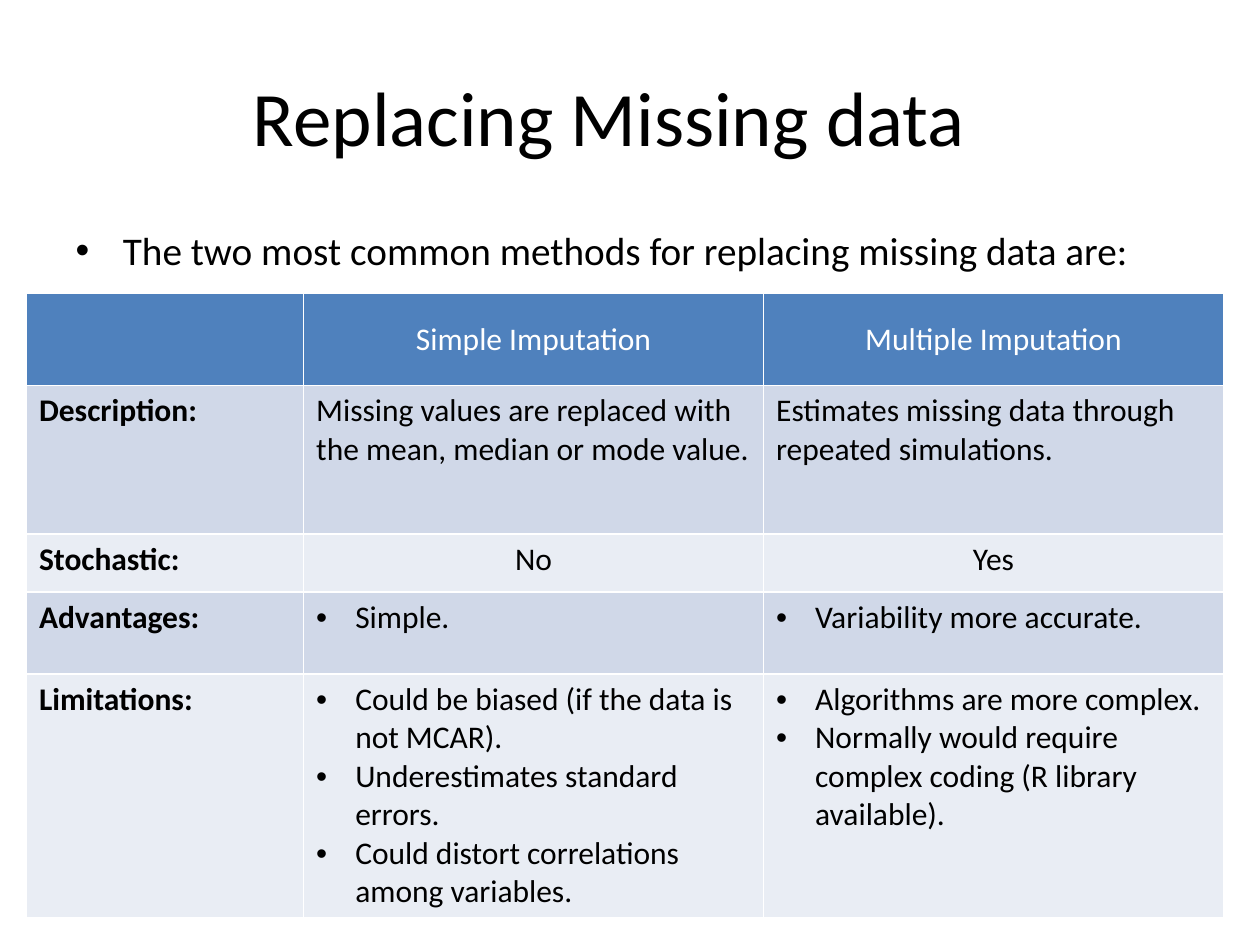
from lxml.etree import SubElement
from pptx import Presentation
from pptx.dml.color import RGBColor
from pptx.enum.text import MSO_ANCHOR, MSO_AUTO_SIZE, PP_ALIGN
from pptx.oxml.ns import qn
from pptx.util import Inches, Pt

TITLE = "Replacing Missing data"
LEAD = "The two most common methods for replacing missing data are:"
HEADER = ["", "Simple Imputation", "Multiple Imputation"]
ROWS = [
    ("Description:", "plain",
     ["Missing values are replaced with the mean, median or mode value."],
     ["Estimates missing data through repeated simulations."]),
    ("Stochastic:", "centred", ["No"], ["Yes"]),
    ("Advantages:", "bullets", ["Simple."], ["Variability more accurate."]),
    ("Limitations:", "bullets",
     ["Could be biased (if the data is not MCAR).",
      "Underestimates standard errors.",
      "Could distort correlations among variables."],
     ["Algorithms are more complex.",
      "Normally would require complex coding (R library available)."]),
]
COLUMN_WIDTHS = [2.2, 3.65, 3.65]
ROW_HEIGHTS = [0.73, 1.18, 0.46, 0.65, 1.92]
COLORS = {"header": "4F81BD", "odd": "D0D8E8", "even": "E9EDF4",
          "text": "000000", "header_text": "FFFFFF"}
FONT = "Calibri"
BULLET_INDENT = Inches(0.31)


def color(name):
    return RGBColor.from_string(COLORS[name])


def style(paragraph, size, color_name="text", bold=False):
    font = paragraph.font
    font.name, font.size, font.bold = FONT, Pt(size), bold
    font.color.rgb = color(color_name)


def add_bullet(paragraph):
    properties = paragraph._p.get_or_add_pPr()
    properties.set("marL", str(BULLET_INDENT))
    properties.set("indent", str(-BULLET_INDENT))
    SubElement(properties, qn("a:buFont")).set("typeface", "Arial")
    SubElement(properties, qn("a:buChar")).set("char", "•")


def fill_placeholder(box, text, size, bounds):
    box.left, box.top, box.width, box.height = map(Inches, bounds)
    frame = box.text_frame
    frame.text = text
    frame.auto_size = MSO_AUTO_SIZE.NONE
    style(frame.paragraphs[0], size)


def fill_cell(cell, lines, fill, layout="plain", text_color="text", bold=False):
    cell.fill.solid()
    cell.fill.fore_color.rgb = color(fill)
    cell.text = "\n".join(lines)
    for paragraph in cell.text_frame.paragraphs:
        if layout == "centred":
            paragraph.alignment = PP_ALIGN.CENTER
        elif layout == "bullets":
            add_bullet(paragraph)
        style(paragraph, 18, text_color, bold)


def add_comparison(page):
    table = page.shapes.add_table(
        len(ROW_HEIGHTS), len(COLUMN_WIDTHS), Inches(0.21), Inches(2.33),
        Inches(sum(COLUMN_WIDTHS)), Inches(sum(ROW_HEIGHTS))).table
    for column, width in zip(table.columns, COLUMN_WIDTHS):
        column.width = Inches(width)
    for row, height in zip(table.rows, ROW_HEIGHTS):
        row.height = Inches(height)
    for column, heading in enumerate(HEADER):
        cell = table.cell(0, column)
        fill_cell(cell, [heading], "header", "centred", "header_text")
        cell.vertical_anchor = MSO_ANCHOR.MIDDLE
    for row, (label, layout, *answers) in enumerate(ROWS, start=1):
        fill = "odd" if row % 2 else "even"
        fill_cell(table.cell(row, 0), [label], fill, bold=True)
        for column, lines in enumerate(answers, start=1):
            fill_cell(table.cell(row, column), lines, fill, layout)


def main():
    deck = Presentation()
    deck.slide_width, deck.slide_height = Inches(10), Inches(7.5)
    page = deck.slides.add_slide(deck.slide_layouts[1])
    fill_placeholder(page.shapes.title, TITLE, 44, (0.5, 0.17, 8.67, 1.5))
    fill_placeholder(page.placeholders[1], LEAD, 22.4, (0.5, 1.75, 9.17, 0.5))
    add_comparison(page)
    deck.save("out.pptx")


if __name__ == "__main__":
    main()
